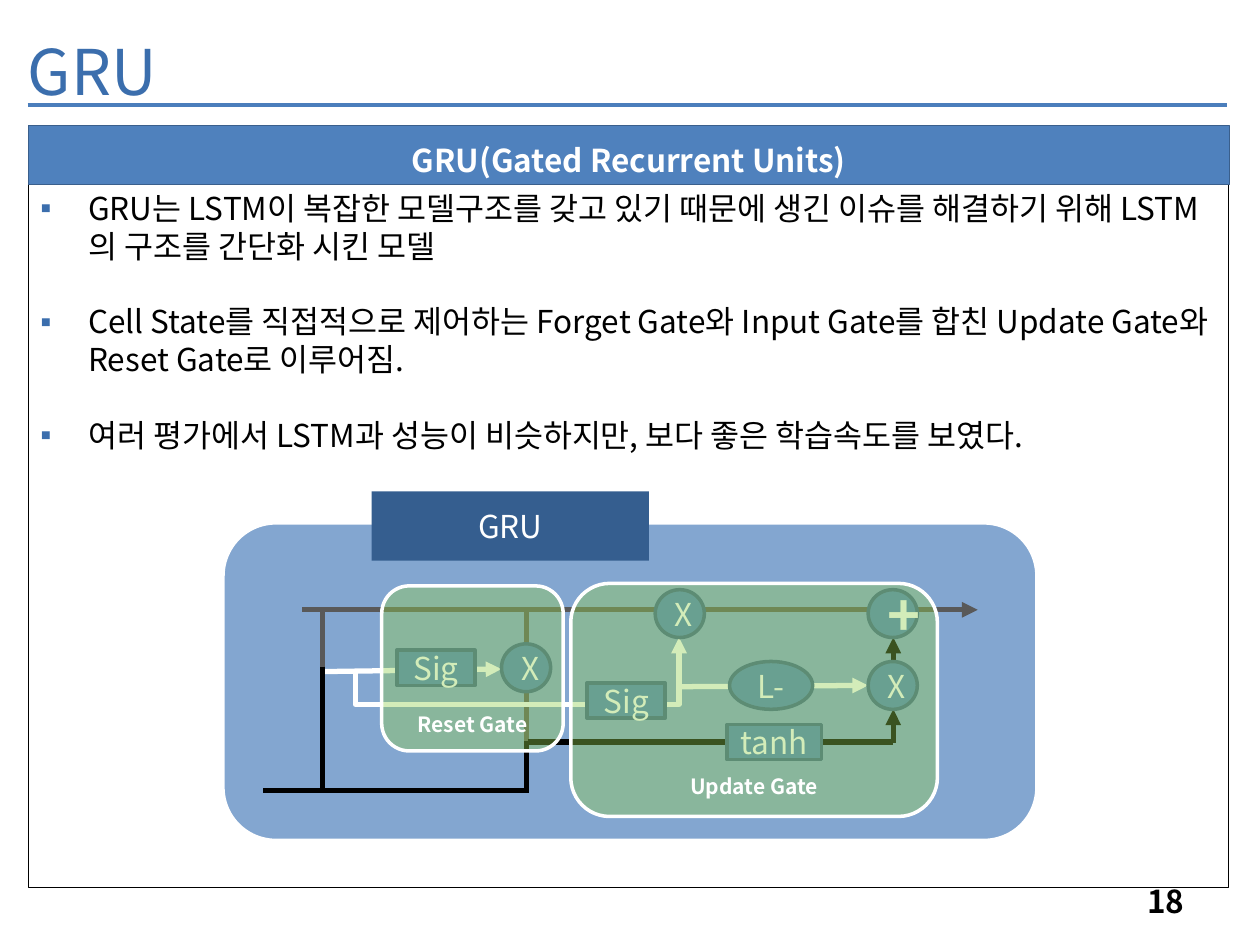
from collections import namedtuple
from dataclasses import dataclass
from lxml.etree import SubElement
from pptx import Presentation
from pptx.dml.color import RGBColor
from pptx.enum.shapes import MSO_CONNECTOR as Link, MSO_SHAPE as Form
from pptx.enum.text import MSO_ANCHOR as Anchor, MSO_AUTO_SIZE as Fit, PP_ALIGN as Align
from pptx.oxml.ns import qn
from pptx.util import Emu, Pt

PX = 9144  # 100 px to the inch
Box = namedtuple("Box", "x y w h")


@dataclass(frozen=True)
class Theme:
    font: str = "Noto Sans CJK KR"
    mark: str = "Arial"
    title: str = "3B6EAD"
    rule: str = "4B7EBC"
    blue: str = "4F81BD"
    edge: str = "3A5F8C"
    dark: str = "355E8F"
    gate: str = "92D050"
    gray: str = "595959"
    black: str = "000000"
    white: str = "FFFFFF"
    head: int = 36
    plus: int = 32
    text: int = 18
    note: int = 12


T = Theme()


def px(*vals):
    return [Emu(round(v * PX)) for v in vals]


def style(para, size, color, bold=False, align=Align.LEFT):
    para.alignment = align
    for run in para.runs:
        font = run.font
        font.name, font.size, font.bold = T.font, Pt(size), bold
        font.color.rgb = RGBColor.from_string(color)
        SubElement(run._r.get_or_add_rPr(), qn("a:ea")).set("typeface", T.font)


def outline(line, color, width):
    line.color.rgb = RGBColor.from_string(color)
    line.width = Pt(width)


def place(shape, box):
    shape.left, shape.top, shape.width, shape.height = px(*box)


def block(slide, form, box, fill, edge=None, width=2, alpha=None, text="",
          size=T.text, bold=False, anchor=Anchor.MIDDLE):
    shape = slide.shapes.add_shape(form, *px(*box))
    shape.shadow.inherit = False
    shape.fill.solid()
    shape.fill.fore_color.rgb = RGBColor.from_string(fill)
    if alpha:
        tone = shape.fill._xPr.find(qn("a:solidFill"))[0]
        SubElement(tone, qn("a:alpha")).set("val", str(alpha * 1000))
    if edge:
        outline(shape.line, edge, width)
    else:
        shape.line.fill.background()
    if text:
        frame = shape.text_frame
        frame.text, frame.word_wrap = text, True
        frame.vertical_anchor = anchor
        style(frame.paragraphs[0], size, T.white, bold, Align.CENTER)


def wire(slide, ends, color, width=3, arrow=False, kind=Link.STRAIGHT):
    link = slide.shapes.add_connector(kind, *px(*ends))
    outline(link.line, color, width)
    if arrow:
        SubElement(link.line._get_or_add_ln(), qn("a:tailEnd")).set("type", "triangle")
    SubElement(link._element.spPr, qn("a:effectLst"))
    return link


def elbow(slide, ends, color, adj):
    """Bent arrow that leaves and arrives vertically, turned a quarter."""
    x1, y1, x2, y2 = ends
    cx, cy = (x1 + x2) / 2, (y1 + y2) / 2
    dx, dy = (y1 - y2) / 2, (x2 - x1) / 2
    link = wire(slide, (cx + dx, cy + dy, cx - dx, cy - dy), color,
                arrow=True, kind=Link.ELBOW)
    props = link._element.spPr
    props.xfrm.set("rot", "5400000")
    geom = props.find(qn("a:prstGeom"))
    guides = geom.find(qn("a:avLst"))
    if guides is None:
        guides = SubElement(geom, qn("a:avLst"))
    guide = SubElement(guides, qn("a:gd"))
    guide.set("name", "adj1")
    guide.set("fmla", f"val {adj}")


def heading(slide, box, text):
    title = slide.shapes.title
    place(title, box)
    frame = title.text_frame
    frame.text, frame.word_wrap = text, False
    frame.auto_size, frame.vertical_anchor = Fit.SHAPE_TO_FIT_TEXT, Anchor.TOP
    style(frame.paragraphs[0], T.head, T.title)
    wire(slide, (box.x + 10, box.y + 62.5, box.x + 962, box.y + 62.5), T.rule, 2.25)


def bullets(slide, box, items):
    body = slide.placeholders[1]
    place(body, box)
    outline(body.line, T.black, 0.25)
    frame = body.text_frame
    frame.text = "\n".join(items)
    frame.auto_size, frame.vertical_anchor = Fit.NONE, Anchor.TOP
    for i, para in enumerate(frame.paragraphs):
        para.line_spacing = 1.0
        para.space_before = Pt(21.6 if i else 0)
        props = para._p.get_or_add_pPr()
        props.set("marL", str(38 * PX))
        props.set("indent", str(-38 * PX))
        tint = SubElement(props, qn("a:buClr"))
        SubElement(tint, qn("a:srgbClr")).set("val", T.title)
        SubElement(props, qn("a:buFont")).set("typeface", T.mark)
        SubElement(props, qn("a:buChar")).set("char", "▪")
        style(para, T.text, T.black)


def number(slide, box, text):
    frame = slide.shapes.add_textbox(*px(*box)).text_frame
    frame.text, frame.word_wrap = text, True
    frame.vertical_anchor = Anchor.MIDDLE
    style(frame.paragraphs[0], T.text, T.black, True, Align.RIGHT)


def diagram(slide, box):
    def at(x, y, w, h):
        return Box(box.x + x, box.y + y, w, h)

    def line(x1, y1, x2, y2, color, arrow=False):
        wire(slide, (*at(x1, y1, 0, 0)[:2], *at(x2, y2, 0, 0)[:2]), color, arrow=arrow)

    block(slide, Form.ROUNDED_RECTANGLE, box, T.blue, T.white, alpha=70)
    block(slide, Form.RECTANGLE, at(118, -25, 220, 55), T.dark, text="GRU")

    for ends, color, arrow in [
        ((63, 69, 599, 69), T.gray, True),
        ((32, 212.5, 243, 212.5), T.black, False),
        ((80, 118, 221, 116), T.white, True),
        ((241, 213, 241, 173), T.black, False),
        ((241, 69, 241, 173), T.gray, False),
        ((79, 69, 79, 114), T.gray, False),
        ((79, 114, 79, 214), T.black, False),
        ((364, 130, 512, 129), T.white, True),
        ((242, 174, 532, 174), T.black, False),
        ((532, 175, 532, 148), T.black, True),
        ((532, 110, 532, 91), T.black, True),
    ]:
        line(*ends, color, arrow)
    elbow(slide, (box.x + 105, box.y + 119, box.x + 362, box.y + 91), T.white, -89400)

    for form, spot, text in [
        (Form.OVAL, (221, 96, 39, 38), "X"),
        (Form.RECTANGLE, (138, 101, 62, 28), "Sig"),
        (Form.OVAL, (343, 53, 39, 38), "X"),
        (Form.OVAL, (512, 53, 39, 38), "+"),
        (Form.OVAL, (512, 110, 39, 38), "X"),
        (Form.RECTANGLE, (400, 160, 75, 28), "tanh"),
        (Form.OVAL, (402, 110, 66, 38), "L-"),
        (Form.RECTANGLE, (289, 127, 62, 28), "Sig"),
    ]:
        plus = text == "+"
        block(slide, form, at(*spot), T.blue, T.edge, text=text,
              size=T.plus if plus else T.text, bold=plus)

    for spot, text in [((276, 48, 291, 185), "Update Gate"),
                       ((126, 50, 144, 131), "Reset Gate")]:
        block(slide, Form.ROUNDED_RECTANGLE, at(*spot), T.gate, T.white, alpha=40,
              text=text, size=T.note, bold=True, anchor=Anchor.BOTTOM)


def main():
    deck = Presentation()
    deck.slide_width, deck.slide_height = px(1000, 750)
    slide = deck.slides.add_slide(deck.slide_layouts[1])
    bullets(slide, Box(22, 145, 953, 559), [
        "GRU는 LSTM이 복잡한 모델구조를 갖고 있기 때문에 생긴 이슈를 해결하기 위해 LSTM의 구조를 간단화 시킨 모델",
        "Cell State를 직접적으로 제어하는 Forget Gate와 Input Gate를 합친 Update Gate와 Reset Gate로 이루어짐.",
        "여러 평가에서 LSTM과 성능이 비슷하지만, 보다 좋은 학습속도를 보였다.",
    ])
    heading(slide, Box(12, 21, 126, 71), "GRU")
    block(slide, Form.RECTANGLE, Box(22.5, 99.5, 953, 47), T.blue, T.edge, 0.25,
          text="GRU(Gated Recurrent Units)", bold=True, anchor=Anchor.BOTTOM)
    number(slide, Box(717, 695, 233, 40), "18")
    diagram(slide, Box(177, 415, 646, 252))
    deck.save("out.pptx")


if __name__ == "__main__":
    main()
